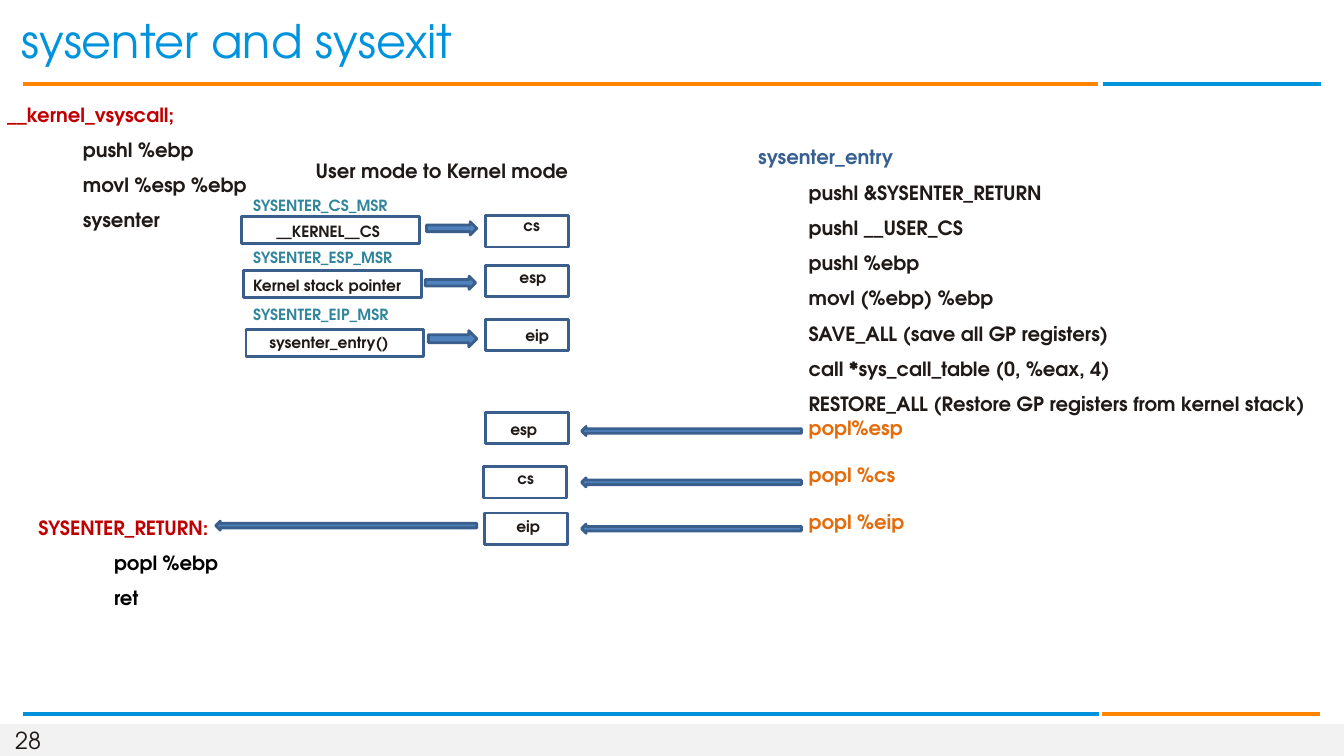
"""Build the slide on entering and leaving kernel mode with sysenter and sysexit."""
from typing import NamedTuple

from lxml.etree import SubElement
from pptx import Presentation
from pptx.dml.color import RGBColor
from pptx.enum.shapes import MSO_CONNECTOR as Link, MSO_SHAPE as Kind
from pptx.enum.text import MSO_ANCHOR as Anchor, MSO_AUTO_SIZE as Fit, PP_ALIGN as Align
from pptx.oxml.ns import qn
from pptx.util import Pt

FONT = "TeX Gyre Adventor"
INK, RED, NAVY, TEAL = "1F1A17", "C00000", "376092", "31859C"
BLUE, ORANGE, RUST = "0093DD", "FF8500", "E46C0A"
EDGE, FILL = "3A5F8C", "4F81BD"


class Area(NamedTuple):
    left: float
    top: float
    width: float
    height: float


class Rule(NamedTuple):
    start: float
    end: float
    top: float
    color: str


class Line(NamedTuple):
    text: str
    color: str = INK
    indent: float = 0
    spacing: float = 1.5
    before: float = 0


class Block(NamedTuple):
    area: Area
    lines: list[Line]


class Source(NamedTuple):
    box: Area
    name: str
    name_top: float
    value: str
    value_left: float
    value_top: float


class Target(NamedTuple):
    left: float
    top: float
    name: str
    name_left: float
    name_top: float


class Arrow(NamedTuple):
    kind: Kind
    area: Area


RULES = [
    Rule(16.6, 784.2, 59.8, ORANGE),
    Rule(787.7, 943.9, 59.8, BLUE),
    Rule(16.8, 784.8, 509.8, BLUE),
    Rule(787, 943.2, 509.8, ORANGE),
]
SOURCES = [
    Source(Area(172.8, 154.8, 126.7, 19.4), "SYSENTER_CS_MSR", 137.5,
           "__KERNEL__CS", 192.2, 158.4),
    Source(Area(174.2, 193, 126.7, 19.4), "SYSENTER_ESP_MSR", 174.2,
           "Kernel stack pointer", 175.7, 197.3),
    Source(Area(175.7, 235.4, 126.7, 19.4), "SYSENTER_EIP_MSR", 215.3,
           "sysenter_entry()", 187.2, 238.3),
]
TARGETS = [
    Target(347, 154.1, "cs", 368.6, 154.8),
    Target(347, 189.4, "esp", 365.8, 191.9),
    Target(347, 228.2, "eip", 370, 233.3),
    Target(347, 294.5, "esp", 359.3, 299.9),
    Target(345.6, 333.4, "cs", 364.3, 335.5),
    Target(346.3, 366.5, "eip", 363.6, 369.4),
]
ARROWS = [
    Arrow(Kind.RIGHT_ARROW, Area(304.6, 158.4, 36, 9.4)),
    Arrow(Kind.RIGHT_ARROW, Area(303.8, 197.3, 36, 9.4)),
    Arrow(Kind.RIGHT_ARROW, Area(306, 236.2, 34.6, 11.5)),
    Arrow(Kind.LEFT_ARROW, Area(415.4, 304.6, 157, 6.5)),
    Arrow(Kind.LEFT_ARROW, Area(415.4, 341.3, 157, 6.5)),
    Arrow(Kind.LEFT_ARROW, Area(415.4, 374.4, 157, 6.5)),
    Arrow(Kind.LEFT_ARROW, Area(154.1, 372.2, 186.5, 6.5)),
]
CALLS = ["pushl &SYSENTER_RETURN", "pushl __USER_CS", "pushl %ebp", "movl (%ebp) %ebp",
         "SAVE_ALL (save all GP registers)", "call *sys_call_table (0, %eax, 4)",
         "RESTORE_ALL (Restore GP registers from kernel stack)"]
BLOCKS = [
    Block(Area(0, 63.4, 189.4, 103.7), [
        Line("__kernel_vsyscall;", RED),
        *[Line(step, INK, 54) for step in ("pushl %ebp", "movl %esp %ebp", "sysenter")],
    ]),
    Block(Area(536.4, 91.4, 407.5, 293.8), [
        Line("sysenter_entry", NAVY),
        *[Line(call, INK, 36) for call in CALLS],
        Line("popl%esp", RUST, 36, 1),
        *[Line(pop, RUST, 36, 1, 17) for pop in ("popl %cs", "popl %eip")],
    ]),
    Block(Area(22.3, 358.6, 211, 78.5), [
        Line("SYSENTER_RETURN:", RED),
        *[Line(step, "000000", 54) for step in ("popl %ebp", "ret")],
    ]),
]


def tint(code: str) -> RGBColor:
    return RGBColor.from_string(code)


def place(area: Area) -> list[Pt]:
    return [Pt(value) for value in area]


def write(shape, lines: list[Line], size: float = 11, bold: bool = True,
          align: Align = Align.LEFT, inset: tuple[float, float] = (5.2, 2.9),
          wrap: bool = True) -> None:
    frame = shape.text_frame
    frame.auto_size = Fit.NONE
    frame.word_wrap = wrap
    frame.vertical_anchor = Anchor.MIDDLE
    frame.margin_left = frame.margin_right = Pt(inset[0])
    frame.margin_top = frame.margin_bottom = Pt(inset[1])
    for index, line in enumerate(lines):
        para = frame.add_paragraph() if index else frame.paragraphs[0]
        para.alignment = align
        para.line_spacing = line.spacing
        para.space_before = Pt(line.before)
        para._p.get_or_add_pPr().set("marL", str(Pt(line.indent)))
        run = para.add_run()
        run.text = line.text
        run.font.name = FONT
        run.font.size = Pt(size)
        run.font.bold = bold
        run.font.color.rgb = tint(line.color)


def label(slide, area: Area, text: str, color: str = INK, **form) -> None:
    write(slide.shapes.add_textbox(*place(area)), [Line(text, color, spacing=1)], **form)


def draw(slide, kind: Kind, area: Area, fill: str = "", edge: str = "") -> None:
    shape = slide.shapes.add_shape(kind, *place(area))
    shape.shadow.inherit = False
    if fill:
        shape.fill.solid()
        shape.fill.fore_color.rgb = tint(fill)
    else:
        shape.fill.background()
    if edge:
        shape.line.color.rgb = tint(edge)
        shape.line.width = Pt(2)
    else:
        shape.line.fill.background()


def stroke(slide, rule: Rule) -> None:
    link = slide.shapes.add_connector(
        Link.STRAIGHT, Pt(rule.start), Pt(rule.top), Pt(rule.end), Pt(rule.top))
    link.line.color.rgb = tint(rule.color)
    link.line.width = Pt(3)
    SubElement(link._element.spPr, qn("a:effectLst"))


def main() -> None:
    deck = Presentation()
    deck.slide_width, deck.slide_height = Pt(960), Pt(540)
    slide = deck.slides.add_slide(deck.slide_layouts[5])
    draw(slide, Kind.RECTANGLE, Area(0, 517, 960, 23), fill="F2F2F2")
    label(slide, Area(10.8, 518.4, 20.2, 20.2), "28", size=16.7, bold=False,
          inset=(0, 0), wrap=False)
    for rule in RULES:
        stroke(slide, rule)
    title = slide.shapes.title
    title.left, title.top, title.width, title.height = place(Area(10.1, 7.9, 859.7, 41.8))
    write(title, [Line("sysenter and sysexit", BLUE, spacing=1)], size=33, bold=False)
    label(slide, Area(200.9, 112.3, 229.7, 19.4), "User mode to Kernel mode", size=14,
          align=Align.CENTER)
    for item in SOURCES:
        draw(slide, Kind.RECTANGLE, item.box, edge=EDGE)
        label(slide, Area(175.7, item.name_top, 117, 18.7), item.name, TEAL)
        label(slide, Area(item.value_left, item.value_top, 121, 13), item.value)
    for item in TARGETS:
        draw(slide, Kind.RECTANGLE, Area(item.left, item.top, 59, 22.3), edge=EDGE)
        label(slide, Area(item.name_left, item.name_top, 37, 13), item.name)
    for block in BLOCKS:
        write(slide.shapes.add_textbox(*place(block.area)), block.lines, size=14)
    for arrow in ARROWS:
        draw(slide, arrow.kind, arrow.area, FILL, EDGE)
    deck.save("out.pptx")


if __name__ == "__main__":
    main()
